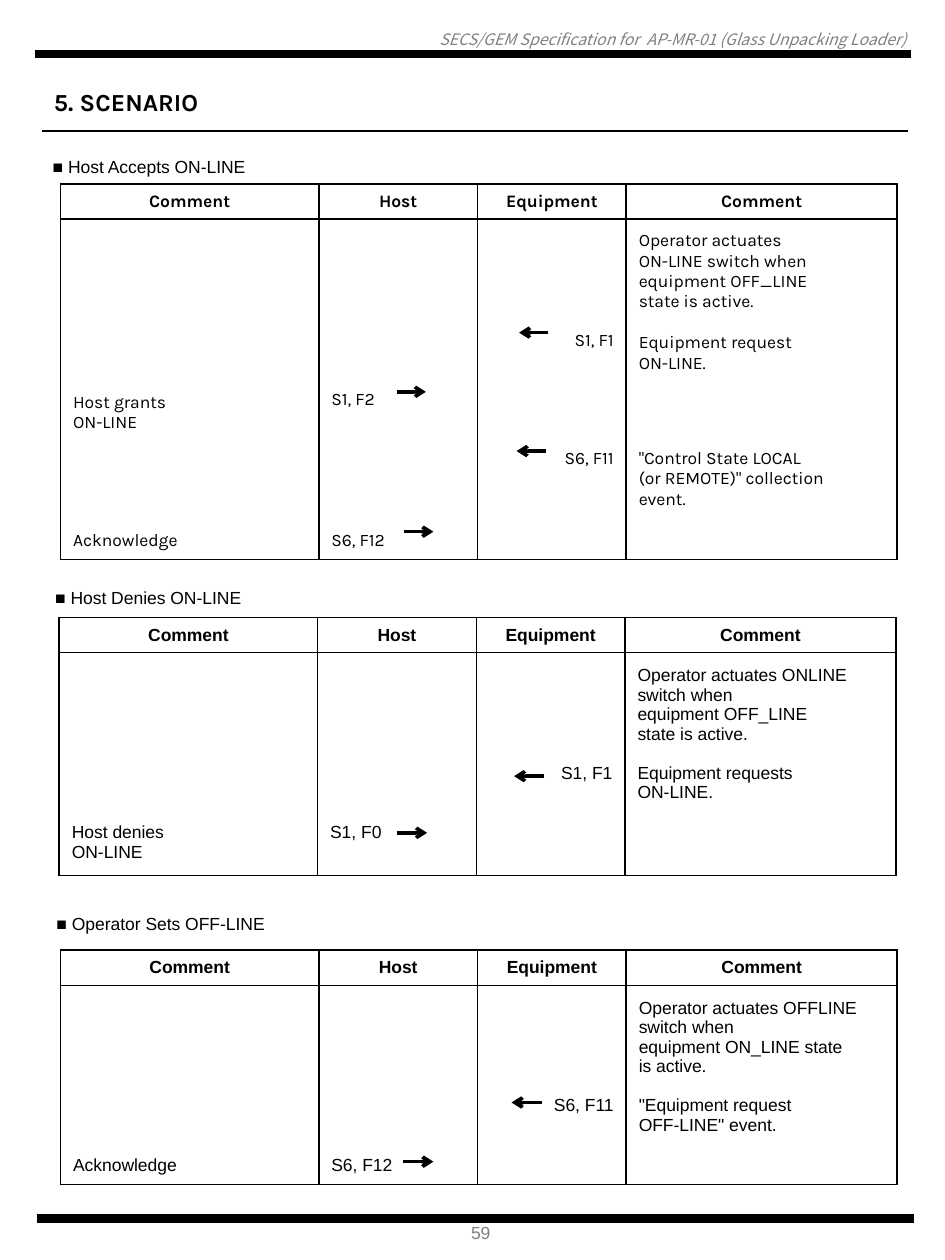
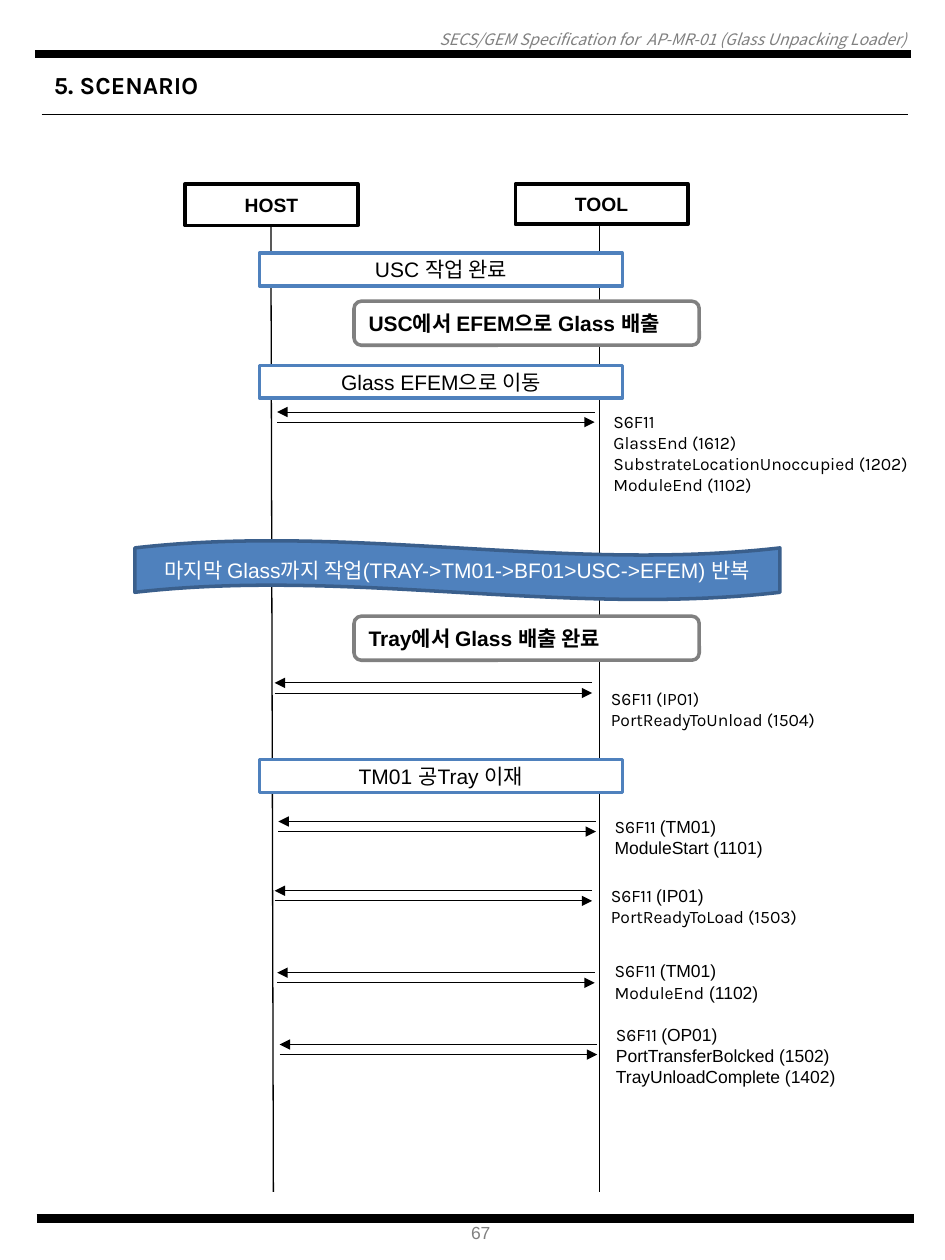
"""Builds two SECS/GEM scenario pages: on-line/off-line tables and a host-tool sequence."""
from dataclasses import dataclass
from typing import NamedTuple, Optional

from lxml import etree
from pptx import Presentation
from pptx.dml.color import RGBColor
from pptx.enum.shapes import MSO_CONNECTOR, MSO_SHAPE
from pptx.enum.text import MSO_ANCHOR, PP_ALIGN
from pptx.oxml.ns import qn
from pptx.util import Emu, Pt

PX = 9144
LEFT, CENTER, RIGHT = PP_ALIGN.LEFT, PP_ALIGN.CENTER, PP_ALIGN.RIGHT
TOP, MIDDLE = MSO_ANCHOR.TOP, MSO_ANCHOR.MIDDLE
STRAIGHT = MSO_CONNECTOR.STRAIGHT
RECTANGLE, ROUNDED, WAVE = MSO_SHAPE.RECTANGLE, MSO_SHAPE.ROUNDED_RECTANGLE, MSO_SHAPE.WAVE

BLACK, WHITE, GRAY, BLUE, NAVY = "000000", "FFFFFF", "808080", "4F81BD", "3A5F8C"
ARIAL, KARLA, NOTO = "Arial", "Karla", "Noto Sans CJK KR"

COLUMN_WIDTHS = (205, 126, 118, 215)
COLUMN_ALIGNS = (LEFT, LEFT, RIGHT, LEFT)
TABLE_HEADER = ("Comment", "Host", "Equipment", "Comment")
BORDER_TAGS = ("a:lnL", "a:lnR", "a:lnT", "a:lnB")
PAIR_GAP = 8


class Box(NamedTuple):
    left: int
    top: int
    width: int
    height: int


class Style(NamedTuple):
    font: str = ARIAL
    size: int = 10
    color: str = BLACK
    bold: bool = False
    italic: bool = False


class Run(NamedTuple):
    text: str
    font: Optional[str] = None


Lines = list[list[Run]]


class Arrow(NamedTuple):
    start: int
    end: int
    y: int


@dataclass(frozen=True)
class Scenario:
    title: str
    title_left: int
    title_top: int
    left: int
    top: int
    font: str
    heights: tuple[int, ...]
    rows: tuple[tuple[str, str, str, str], ...]
    arrows: tuple[Arrow, ...]
    middle_cells: tuple[tuple[int, int], ...] = ((1, 3),)


@dataclass(frozen=True)
class Look:
    preset: int
    fill: Optional[str]
    line: str
    style: Style
    align: int = CENTER
    inset: Optional[int] = None


class Block(NamedTuple):
    look: Look
    box: Box
    text: str


class Message(NamedTuple):
    left: int
    top: int
    label: Box
    lines: Lines


def plain(text: str) -> Lines:
    """Turn each line of a text into a paragraph of one run."""
    return [[Run(line)] if line else [] for line in text.split("\n")]


SCENARIOS = (
    Scenario(
        "■ Host Accepts ON-LINE", 32, 119, 48, 146, KARLA, (28, 83, 47, 47, 65, 28),
        (
            ("", "", "", "Operator actuates\nON-LINE switch when\nequipment OFF_LINE\nstate is active."),
            ("", "", "S1, F1", "Equipment request\nON-LINE."),
            ("Host grants\nON-LINE", "S1, F2", "", ""),
            ("", "", "S6, F11", '"Control State LOCAL\n(or REMOTE)" collection\nevent.'),
            ("Acknowledge", "S6, F12", "", ""),
        ),
        (Arrow(435, 412, 264), Arrow(315, 338, 311), Arrow(433, 410, 358), Arrow(321, 344, 422)),
        ((1, 3), (2, 3), (3, 0)),
    ),
    Scenario(
        "■ Host Denies ON-LINE", 34, 461, 47, 490, ARIAL, (28, 83, 47, 47),
        (
            ("", "", "", "Operator actuates ONLINE\nswitch when\nequipment OFF_LINE\nstate is active."),
            ("", "", "S1, F1", "Equipment requests\nON-LINE."),
            ("Host denies\nON-LINE", "S1, F0", "", ""),
        ),
        (Arrow(432, 408, 616), Arrow(315, 339, 661)),
    ),
    Scenario(
        "■ Operator Sets OFF-LINE", 35, 720, 48, 754, ARIAL, (28, 83, 47, 28),
        (
            ("", "", "", "Operator actuates OFFLINE\nswitch when\nequipment ON_LINE state\nis active."),
            ("", "", "S6, F11", '"Equipment request\nOFF-LINE" event.'),
            ("Acknowledge", "S6, F12", "", ""),
        ),
        (Arrow(430, 406, 875), Arrow(320, 344, 922)),
    ),
)

ACTOR = Look(RECTANGLE, None, BLACK, Style(size=11, bold=True))
STEP = Look(RECTANGLE, WHITE, BLUE, Style(size=12), inset=0)
TRANSFER = Look(ROUNDED, WHITE, GRAY, Style(size=12, bold=True), LEFT)
REPEAT = Look(WAVE, BLUE, NAVY, Style(size=12, color=WHITE), inset=5)

BLOCKS = (
    Block(ACTOR, Box(147, 146, 137, 33), "HOST"),
    Block(ACTOR, Box(409, 146, 137, 32), "TOOL"),
    Block(STEP, Box(206, 201, 288, 26), "USC 작업 완료"),
    Block(TRANSFER, Box(281, 239, 274, 35), "USC에서 EFEM으로 Glass 배출"),
    Block(STEP, Box(206, 290, 288, 26), "Glass EFEM으로 이동"),
    Block(REPEAT, Box(107, 429, 512, 47), "마지막 Glass까지 작업(TRAY->TM01->BF01>USC->EFEM) 반복"),
    Block(TRANSFER, Box(281, 489, 274, 35), "Tray에서 Glass 배출 완료"),
    Block(STEP, Box(206, 603, 288, 26), "TM01 공Tray 이재"),
)

EVENT = Run("S6F11 ")
MESSAGES = (
    Message(220, 327, Box(477, 321, 274, 77),
            plain("S6F11\nGlassEnd (1612)\nSubstrateLocationUnoccupied (1202)\nModuleEnd (1102)")),
    Message(218, 542, Box(475, 541, 183, 44), plain("S6F11 (IP01)\nPortReadyToUnload (1504)")),
    Message(221, 652, Box(478, 642, 183, 44),
            [[EVENT, Run("(TM01)", ARIAL)], [Run("ModuleStart (1101)", ARIAL)]]),
    Message(218, 707, Box(475, 697, 183, 44),
            [[EVENT, Run("(IP01)", ARIAL)], [Run("PortReadyToLoad (1503)")]]),
    Message(220, 772, Box(478, 757, 201, 44),
            [[EVENT, Run("(TM01)", ARIAL)], [Run("ModuleEnd"), Run(" (1102)", ARIAL)]]),
    Message(222, 829, Box(479, 807, 201, 61),
            [[EVENT, Run("(OP01)", ARIAL)], [Run("PortTransferBolcked (1502)", ARIAL)],
             [Run("TrayUnloadComplete (1402)", ARIAL)]]),
)
MESSAGE_LENGTH = 252


def px(value: int) -> Emu:
    """Convert px to EMU."""
    return Emu(value * PX)


def rgb(color: str) -> RGBColor:
    """Convert a hex string to a colour."""
    return RGBColor.from_string(color)


def write(frame, lines: Lines, style: Style, align=LEFT) -> None:
    """Fill a text frame with styled paragraphs."""
    frame.word_wrap = True
    for index, line in enumerate(lines):
        paragraph = frame.add_paragraph() if index else frame.paragraphs[0]
        paragraph.alignment = align
        font = paragraph.font
        font.name, font.size, font.color.rgb = style.font, Pt(style.size), rgb(style.color)
        font.bold, font.italic = style.bold, style.italic
        defaults = paragraph._p.pPr.find(qn("a:defRPr"))
        etree.SubElement(defaults, qn("a:ea"), typeface=NOTO)
        for part in line:
            run = paragraph.add_run()
            run.text = part.text
            if part.font:
                run.font.name = part.font
        if not line:
            etree.SubElement(paragraph._p, qn("a:endParaRPr"), sz=str(style.size * 100))


def set_inset(frame, inset: int) -> None:
    """Give all four sides of a text frame the same inset."""
    frame.margin_left = frame.margin_right = px(inset)
    frame.margin_top = frame.margin_bottom = px(inset)


def add_text(slide, box: Box, lines: Lines, style: Style, align=LEFT, anchor=TOP, inset=None) -> None:
    """Add a text box."""
    frame = slide.shapes.add_textbox(*map(px, box)).text_frame
    frame.vertical_anchor = anchor
    if inset is not None:
        set_inset(frame, inset)
    write(frame, lines, style, align)


def add_line(slide, start: tuple[int, int], end: tuple[int, int], width: float, head="") -> None:
    """Add a black line, with an arrowhead at its end if one is named."""
    connector = slide.shapes.add_connector(STRAIGHT, *map(px, start + end))
    connector.line.width = Pt(width)
    connector.line.color.rgb = rgb(BLACK)
    if head:
        etree.SubElement(connector.line._get_or_add_ln(), qn("a:tailEnd"), type=head)
    etree.SubElement(connector._element.spPr, qn("a:effectLst"))


def add_block(slide, block: Block) -> None:
    """Add an outlined shape with its text."""
    look = block.look
    shape = slide.shapes.add_shape(look.preset, *map(px, block.box))
    shape.shadow.inherit = False
    if look.fill:
        shape.fill.solid()
        shape.fill.fore_color.rgb = rgb(look.fill)
    else:
        shape.fill.background()
    shape.line.color.rgb = rgb(look.line)
    shape.line.width = Pt(2)
    shape.text_frame.vertical_anchor = MIDDLE
    if look.inset is not None:
        set_inset(shape.text_frame, look.inset)
    write(shape.text_frame, plain(block.text), look.style, look.align)


def set_borders(cell, visible: tuple[bool, ...]) -> None:
    """Draw or hide the left, right, top and bottom borders of a cell."""
    properties = cell._tc.get_or_add_tcPr()
    for tag, shown in zip(BORDER_TAGS, visible):
        border = etree.SubElement(properties, qn(tag), w=str(Pt(1)))
        fill = etree.SubElement(border, qn("a:solidFill" if shown else "a:noFill"))
        if shown:
            etree.SubElement(fill, qn("a:srgbClr"), val=BLACK)


def add_scenario(slide, scenario: Scenario) -> None:
    """Add a titled message table with its arrows."""
    add_text(slide, Box(scenario.title_left, scenario.title_top, 640, 27), plain(scenario.title), Style())
    rows = (TABLE_HEADER,) + scenario.rows
    box = Box(scenario.left, scenario.top, sum(COLUMN_WIDTHS), sum(scenario.heights))
    table = slide.shapes.add_table(len(rows), len(COLUMN_WIDTHS), *map(px, box)).table
    table.first_row = table.horz_banding = False
    for column, width in zip(table.columns, COLUMN_WIDTHS):
        column.width = px(width)
    for row_index, (texts, height) in enumerate(zip(rows, scenario.heights)):
        table.rows[row_index].height = px(height)
        header = row_index == 0
        for column_index, text in enumerate(texts):
            cell = table.cell(row_index, column_index)
            set_borders(cell, (True, True, row_index <= 1, header or row_index == len(rows) - 1))
            cell.fill.background()
            centred = header or (row_index, column_index) in scenario.middle_cells
            cell.vertical_anchor = MIDDLE if centred else TOP
            align = CENTER if header else COLUMN_ALIGNS[column_index]
            write(cell.text_frame, plain(text), Style(scenario.font, bold=header), align)
    for arrow in scenario.arrows:
        add_line(slide, (arrow.start, arrow.y), (arrow.end, arrow.y), 2, "arrow")


def add_message(slide, message: Message) -> None:
    """Add a pair of opposite arrows and the label beside it."""
    left, top = message.left, message.top
    right, bottom = left + MESSAGE_LENGTH, top + PAIR_GAP
    add_line(slide, (right, top), (left, top), 0.5, "triangle")
    add_line(slide, (left, bottom), (right, bottom), 0.5, "triangle")
    add_text(slide, message.label, message.lines, Style(KARLA), anchor=MIDDLE)


def add_page(presentation, number: int, title_top: int):
    """Add a slide with running header, bars, title and page number."""
    slide = presentation.slides.add_slide(presentation.slide_layouts[6])
    header = plain("SECS/GEM Specification for  AP-MR-01 (Glass Unpacking Loader)")
    add_text(slide, Box(5, 24, 714, 15), header, Style(NOTO, 9, GRAY, italic=True), RIGHT, inset=0)
    add_line(slide, (28, 43), (723, 43), 4.75)
    add_line(slide, (29, 967), (725, 967), 4.75)
    add_text(slide, Box(364, 965, 37, 27), plain(str(number)), Style(color=GRAY))
    add_text(slide, Box(33, title_top, 150, 34), plain("5. SCENARIO"), Style(KARLA, 14, bold=True))
    add_line(slide, (33, title_top + 40), (721, title_top + 40), 0.75)
    return slide


def main() -> None:
    """Build and save the presentation."""
    presentation = Presentation()
    presentation.slide_width, presentation.slide_height = px(750), px(1000)

    tables_slide = add_page(presentation, 59, 64)
    for scenario in SCENARIOS:
        add_scenario(tables_slide, scenario)

    sequence_slide = add_page(presentation, 67, 51)
    add_line(sequence_slide, (215, 179), (217, 946), 0.75)
    add_line(sequence_slide, (476, 177), (476, 946), 0.75)
    for block in BLOCKS:
        add_block(sequence_slide, block)
    for message in MESSAGES:
        add_message(sequence_slide, message)

    presentation.save("out.pptx")


if __name__ == "__main__":
    main()
